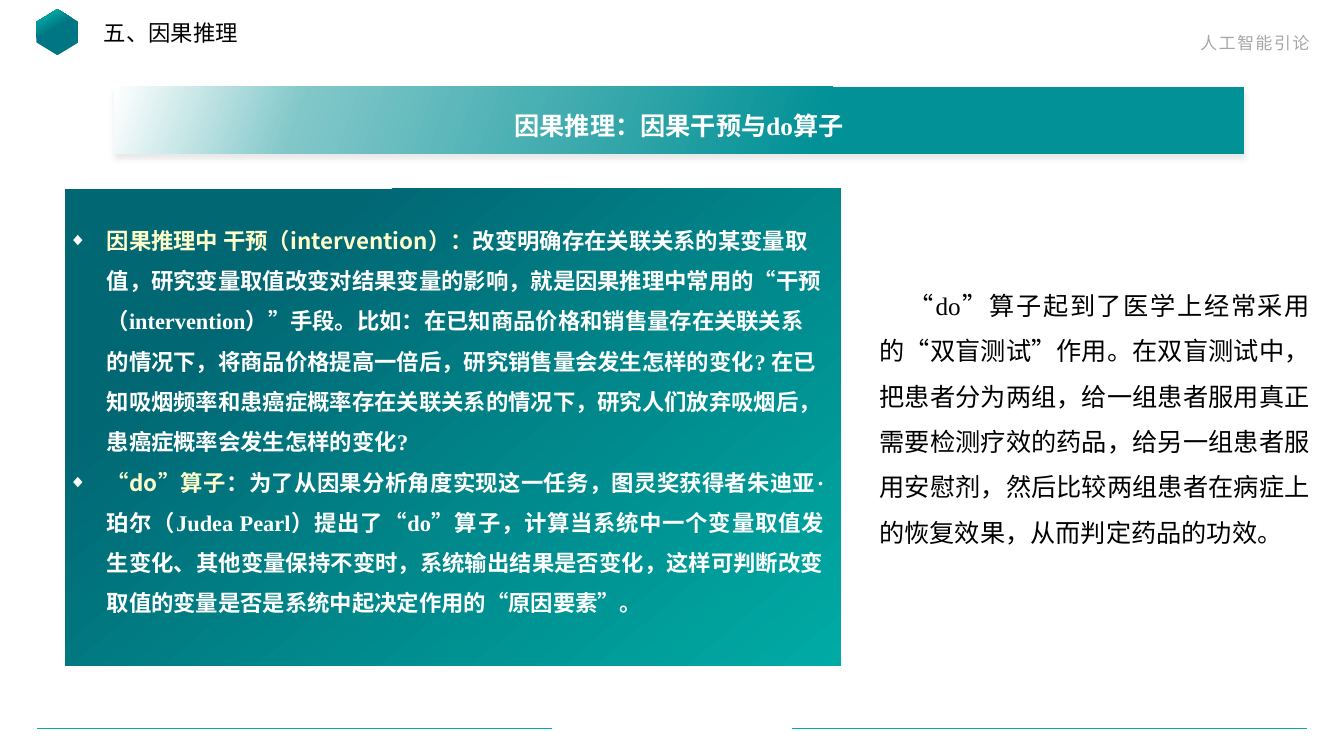
"""Build the slide on causal intervention and the do operator."""
from dataclasses import dataclass

import lxml.etree
import pptx
import pptx.dml.color
import pptx.enum.shapes
import pptx.enum.text
import pptx.oxml.ns
import pptx.util

Pt = pptx.util.Pt
ALIGN = pptx.enum.text.PP_ALIGN
SHAPE = pptx.enum.shapes.MSO_SHAPE


@dataclass(frozen=True)
class Theme:
    """Colours, fonts and type sizes of the slide."""
    white: str = "FFFFFF"
    black: str = "000000"
    grey: str = "A6A6A6"
    highlight: str = "FFFFCC"
    teal: str = "00ABA5"
    shadow: str = "262626"
    mark_fill: tuple = ((57, "007684"), (87, "00ABA5"))
    banner_fill: tuple = ((37, "019196"), (83, "81C7C9"), (100, "FFFFFF"))
    panel_fill: tuple = ((22, "016773"), (100, "00ABA5"))
    sans: str = "Noto Sans CJK SC"
    serif: str = "Times New Roman"
    small: int = 12
    normal: int = 16
    large: int = 18


class SlideBuilder:
    """Draws styled elements on one slide, with all lengths in points."""

    def __init__(self, slide, theme):
        self.slide = slide
        self.theme = theme

    def add_xml(self, parent, tag, **attributes):
        return lxml.etree.SubElement(parent, pptx.oxml.ns.qn(f"a:{tag}"), attributes)

    def style_font(self, font, properties, size=None, color=None, name=None, bold=None):
        if size:
            font.size = Pt(size)
        if bold is not None:
            font.bold = bold
        if color:
            font.color.rgb = pptx.dml.color.RGBColor.from_string(color)
        if name:
            font.name = name
            self.add_xml(properties, "ea", typeface=self.theme.sans)

    def frame(self, shape, box, wrap=True):
        shape.left, shape.top, shape.width, shape.height = map(Pt, box)
        text = shape.text_frame
        text.word_wrap = wrap
        text.auto_size = pptx.enum.text.MSO_AUTO_SIZE.NONE
        text.vertical_anchor = pptx.enum.text.MSO_ANCHOR.TOP
        return text

    def paragraph(self, paragraph, runs, align=ALIGN.LEFT, spacing=1.0,
                  margin=0, indent=0, bullet=None, tracking=0, **font):
        """Fill a paragraph with (text, font overrides) runs."""
        paragraph.alignment = align
        paragraph.line_spacing = spacing
        paragraph.space_before = Pt(0)
        layout = paragraph._p.get_or_add_pPr()
        layout.set("marL", str(Pt(margin)))
        layout.set("indent", str(Pt(indent)))
        if bullet:
            self.add_xml(self.add_xml(layout, "buClr"), "srgbClr", val=self.theme.white)
            self.add_xml(layout, "buSzPct", val="80000")
            self.add_xml(layout, "buChar", char=bullet)
        else:
            self.add_xml(layout, "buNone")
        properties = layout.get_or_add_defRPr()
        if tracking:
            properties.set("spc", str(round(tracking * 100)))
        self.style_font(paragraph.font, properties, **font)
        for words, overrides in runs:
            run = paragraph.add_run()
            run.text = words
            if overrides:
                self.style_font(run.font, run._r.get_or_add_rPr(), **overrides)

    def title(self, box, words, **style):
        text = self.frame(self.slide.shapes.title, box, wrap=False)
        self.paragraph(text.paragraphs[0], [(words, {})], **style)

    def bullets(self, box, items, **style):
        """Fill the body placeholder and bring it in front of the shapes drawn so far."""
        body = self.slide.placeholders[1]
        body._element.getparent().append(body._element)
        text = self.frame(body, box)
        for index, (align, runs) in enumerate(items):
            paragraph = text.add_paragraph() if index else text.paragraphs[0]
            self.paragraph(paragraph, runs, align=align, **style)

    def text(self, box, runs, **style):
        text = self.frame(self.slide.shapes.add_textbox(*map(Pt, box)), box)
        self.paragraph(text.paragraphs[0], runs, **style)

    def gradient_shape(self, kind, box, stops, angle, rotation=0, shadow=False):
        shape = self.slide.shapes.add_shape(kind, *map(Pt, box))
        shape.rotation = rotation
        shape.line.fill.background()
        shape.shadow.inherit = False
        shape.fill.gradient()
        shape.fill.gradient_angle = 360 - angle
        properties = shape._element.spPr
        stop_list = properties.find(".//" + pptx.oxml.ns.qn("a:gsLst"))
        for stop in list(stop_list):
            stop_list.remove(stop)
        for position, color in stops:
            stop = self.add_xml(stop_list, "gs", pos=str(position * 1000))
            self.add_xml(stop, "srgbClr", val=color)
        if shadow:
            effects = properties.find(pptx.oxml.ns.qn("a:effectLst"))
            outer = self.add_xml(effects, "outerShdw", blurRad=str(Pt(4)), dist=str(Pt(3)), dir="5400000")
            tint = self.add_xml(outer, "srgbClr", val=self.theme.shadow)
            self.add_xml(tint, "alpha", val="10000")
        return shape

    def rule(self, left, right, y):
        line = self.slide.shapes.add_connector(
            pptx.enum.shapes.MSO_CONNECTOR.STRAIGHT, Pt(left), Pt(y), Pt(right), Pt(y))
        line.line.color.rgb = pptx.dml.color.RGBColor.from_string(self.theme.teal)
        line.line.width = Pt(0.5)
        self.add_xml(line._element.spPr, "effectLst")


def main():
    presentation = pptx.Presentation()
    presentation.slide_width, presentation.slide_height = Pt(960), Pt(540)
    theme = Theme()
    builder = SlideBuilder(presentation.slides.add_slide(presentation.slide_layouts[1]), theme)

    builder.text((689, 20, 253.5, 22), [("人工智能引论", {})], align=ALIGN.RIGHT,
                 tracking=1.2, size=theme.small, color=theme.grey, name=theme.sans)
    mark = builder.gradient_shape(SHAPE.HEXAGON, (24.5, 8, 33, 30), theme.mark_fill, 150, rotation=90)
    mark.adjustments[0] = 0.305
    for left in (26.5, 565.5):
        builder.rule(left, left + 368, 520)
    builder.title((67, 10, 115, 27), "五、因果推理",
                  size=theme.normal, color=theme.black, name=theme.serif)

    builder.gradient_shape(SHAPE.RECTANGLE, (81.5, 62, 807, 48), theme.banner_fill, 200, shadow=True)
    builder.text((145, 64.5, 680, 36),
                 [("因果推理：", {"name": theme.sans}), ("因果干预与do算子", {"name": theme.serif})],
                 align=ALIGN.CENTER, spacing=1.5, size=theme.large, color=theme.white, bold=True)

    builder.gradient_shape(SHAPE.RECTANGLE, (46.5, 135, 554, 340.5), theme.panel_fill, 50)
    term = {"color": theme.highlight, "name": theme.sans}
    explanation = {"color": theme.white, "name": theme.serif}
    intervention = [
        ("因果推理中 干预（intervention）：", term),
        ("改变明确存在关联关系的某变量取值，研究变量取值改变对结果变量的影响，"
         "就是因果推理中常用的“干预（intervention）”手段。比如：在已知商品价格和销售量存在关联关系的情况下，"
         "将商品价格提高一倍后，研究销售量会发生怎样的变化? 在已知吸烟频率和患癌症概率存在关联关系的情况下，"
         "研究人们放弃吸烟后，患癌症概率会发生怎样的变化?", explanation)]
    do_operator = [
        ("“do”算子", term),
        ("：为了从因果分析角度实现这一任务，图灵奖获得者朱迪亚·珀尔（Judea Pearl）提出了“do”算子，"
         "计算当系统中一个变量取值发生变化、其他变量保持不变时，系统输出结果是否变化，"
         "这样可判断改变取值的变量是否是系统中起决定作用的“原因要素”。", explanation)]
    builder.bullets((42, 149, 554, 353), [(ALIGN.LEFT, intervention), (ALIGN.JUSTIFY, do_operator)],
                    spacing=1.5, margin=27, indent=-27, bullet="◆", size=theme.normal, bold=True)

    builder.text((621, 193, 322, 199.5),
                 [("“do”算子起到了医学上经常采用的“双盲测试”作用。在双盲测试中，把患者分为两组，"
                   "给一组患者服用真正需要检测疗效的药品，给另一组患者服用安慰剂，"
                   "然后比较两组患者在病症上的恢复效果，从而判定药品的功效。", {})],
                 align=ALIGN.JUSTIFY, spacing=1.5, indent=21,
                 size=theme.large, color=theme.black, name=theme.serif)
    presentation.save("out.pptx")


if __name__ == "__main__":
    main()
